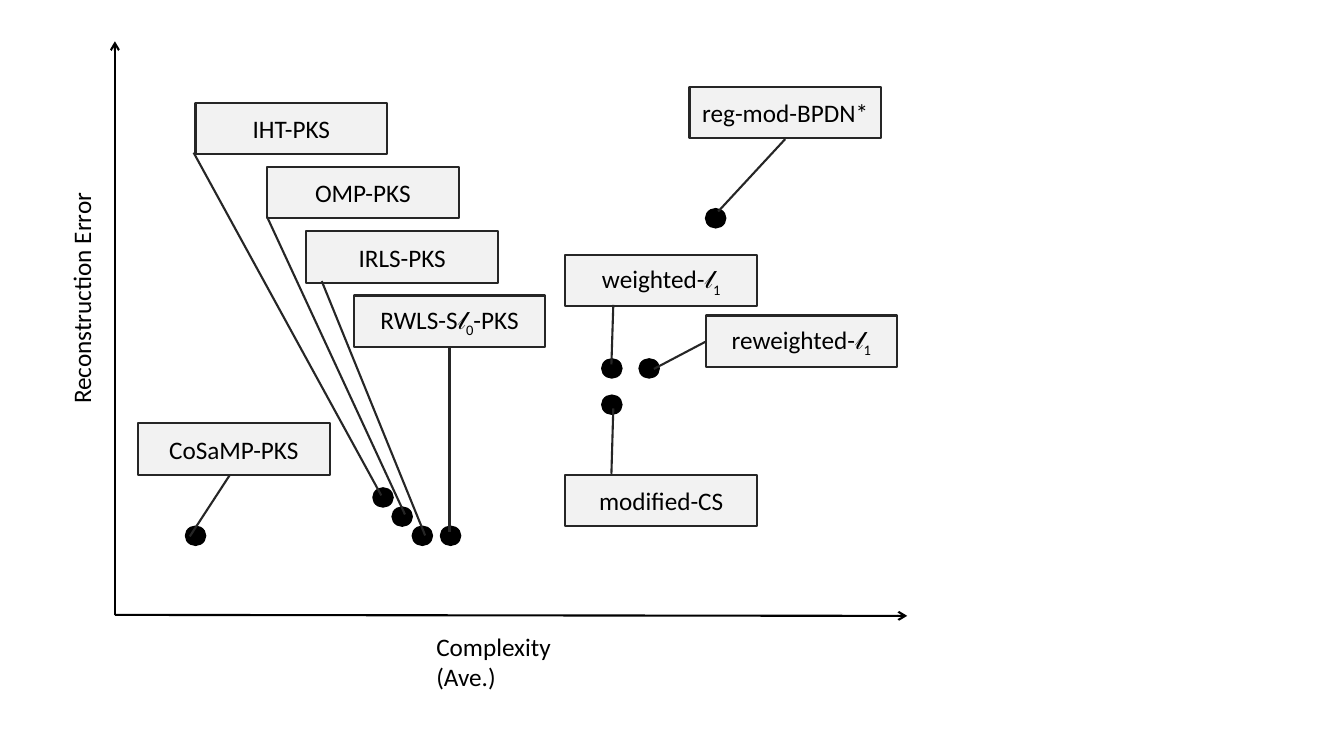
from pptx import Presentation
from pptx import util as u
from pptx.dml.color import RGBColor
from pptx.enum import shapes, text
from pptx.oxml.ns import qn
from lxml import etree

# Grid: square cells, 75 rows on a 7.5 inch high slide
CELL = u.Inches(0.1)
COLS, ROWS = 133.33, 75
BLACK, LABEL_FILL, LABEL_LINE = "000000", "F2F2F2", "262626"
LABEL_W, LABEL_H = 19, 5.1
DOT_W, DOT_H = 2, 1.9
ORIGIN = (11.4, 61)

# Centre of each method's dot
DOTS = [(19.4, 53.15), (41.9, 53.15), (44.7, 53.15), (39.9, 51.25), (38, 49.35),
        (60.7, 40.15), (60.7, 36.55), (64.4, 36.55), (71, 21.65)]

# The four labels of the staircase go down by an equal step
STAIR_TOP, STAIR_STEP = 10.2, 6.37
stair = [STAIR_TOP + STAIR_STEP * step for step in range(4)]

# Name pieces (every second one is a subscript), column, row,
# leader line as shares of the label: start y, start x, end y, end x
METHODS = [
    (["CoSaMP-PKS"], 13.7, 42, (1, 0.48, 2.2, 0.27)),
    (["IHT-PKS"], 19.4, stair[0], (0.97, -0.01, 7.64, 0.97)),
    (["OMP-PKS"], 26.5, stair[1], (0.97, 0, 6.76, 0.72)),
    (["IRLS-PKS"], 30.4, stair[2], (0.97, 0.08, 5.92, 0.62)),
    (["RWLS-S𝓁", "0", "-PKS"], 35.1, stair[3], (1.02, 0.5, 4.61, 0.5)),
    (["modified-CS"], 56.1, 47.1, (-0.02, 0.24, -1.29, 0.25)),
    (["weighted-𝓁", "1"], 56.1, 25.3, (0.97, 0.25, 2.13, 0.24)),
    (["reweighted-𝓁", "1"], 70, 31.3, (0.51, 0, 1.04, -0.27)),
    (["reg-mod-BPDN*"], 68.4, 8.6, (1.02, 0.5, 2.43, 0.15)),
]


def cells(*counts):
    return [u.Emu(round(count * CELL)) for count in counts]


def color(hex_string):
    return RGBColor.from_string(hex_string)


def style_run(run):
    run.font.name = "Calibri"
    run.font.size = u.Pt(18)
    run.font.color.rgb = color(BLACK)


def paint(shape, fill, line, width):
    shape.shadow.inherit = False
    shape.fill.solid()
    shape.fill.fore_color.rgb = color(fill)
    shape.line.color.rgb = color(line)
    shape.line.width = u.Pt(width)


def add_axis(slide, end):
    axis = slide.shapes.add_connector(
        shapes.MSO_CONNECTOR.STRAIGHT, *cells(*ORIGIN, *end))
    axis.line.color.rgb = color(BLACK)
    axis.line.width = u.Pt(1.5)
    etree.SubElement(axis.line._get_or_add_ln(), qn("a:tailEnd"), type="arrow")
    etree.SubElement(axis._element.spPr, qn("a:effectLst"))


def add_axis_title(slide, title, area, rotation=0):
    box = slide.shapes.add_textbox(*cells(*area))
    box.rotation = rotation
    box.text_frame.word_wrap = True
    box.text_frame.text = title
    style_run(box.text_frame.paragraphs[0].runs[0])


def add_dot(slide, x, y):
    dot = slide.shapes.add_shape(
        shapes.MSO_SHAPE.OVAL,
        *cells(x - DOT_W / 2, y - DOT_H / 2, DOT_W, DOT_H))
    paint(dot, BLACK, BLACK, 1)


def add_method(slide, name, col, row, leader):
    label = slide.shapes.add_shape(
        shapes.MSO_SHAPE.LINE_CALLOUT_1, *cells(col, row, LABEL_W, LABEL_H))
    for index, share in enumerate(leader):
        label.adjustments[index] = share
    paint(label, LABEL_FILL, LABEL_LINE, 1.5)
    label.text_frame.vertical_anchor = text.MSO_ANCHOR.MIDDLE
    line = label.text_frame.paragraphs[0]
    line.alignment = text.PP_ALIGN.CENTER
    for index, piece in enumerate(name):
        run = line.add_run()
        run.text = piece
        style_run(run)
        if index % 2:
            run.font._element.set("baseline", "-25000")


def main():
    deck = Presentation()
    deck.slide_width, deck.slide_height = cells(COLS, ROWS)
    slide = deck.slides.add_slide(deck.slide_layouts[6])

    # Axes and their titles
    add_axis(slide, (11.4, 4.1))
    add_axis(slide, (90, 61.1))
    add_axis_title(slide, "Complexity (Ave.)", (42.3, 62.1, 19.4, 4))
    add_axis_title(slide, "Reconstruction Error", (-4, 27, 24.1, 4), 270)

    # Dots, then the labels whose leader lines reach them
    for x, y in DOTS:
        add_dot(slide, x, y)
    for method in METHODS:
        add_method(slide, *method)

    deck.save("out.pptx")


if __name__ == "__main__":
    main()
